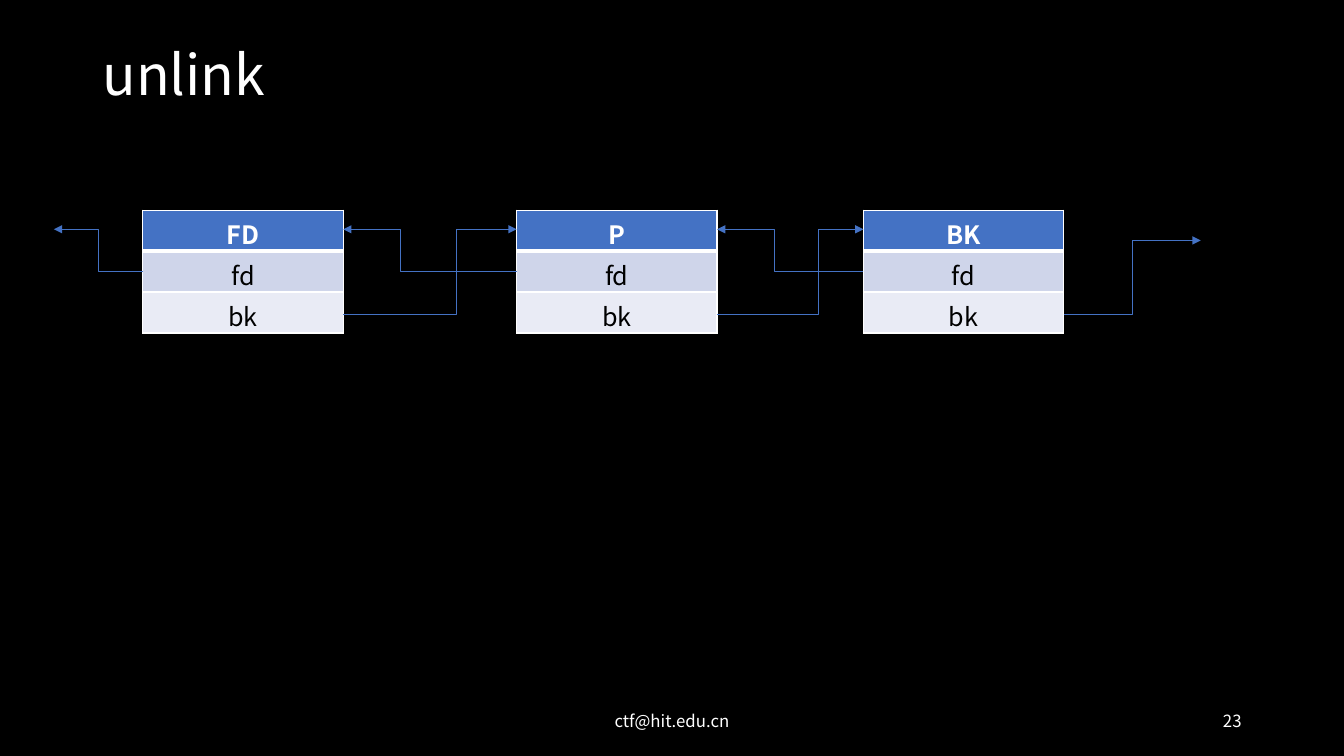
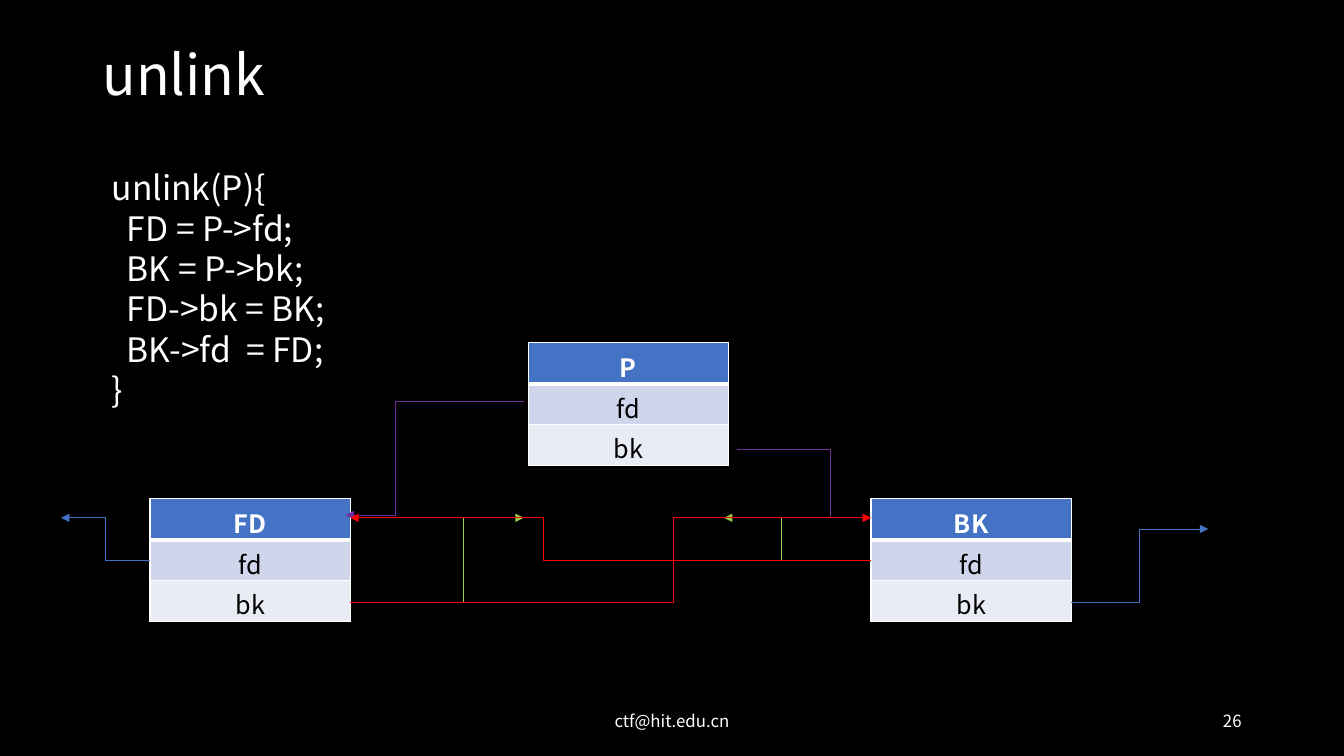
import pptx
import pptx.dml.color
import pptx.enum.shapes
import pptx.enum.text
import pptx.oxml
import pptx.oxml.ns
import pptx.util
from collections import namedtuple

Cm = pptx.util.Cm
Pt = pptx.util.Pt
ALIGN = pptx.enum.text.PP_ALIGN
MIDDLE = pptx.enum.text.MSO_ANCHOR.MIDDLE

FONT = "Noto Sans CJK SC"
COLOURS = {
    "background": "000000", "text": "FFFFFF", "cell text": "000000",
    "header": "4472C4", "fd row": "CFD5EA", "bk row": "E9EBF5",
    "border": "FFFFFF", "linked": "4472C4", "own": "7030A0",
    "old": "92D050", "new": "FF0000",
}
CHUNK_WIDTH = 5.05
ROW_HEIGHT = 1.03
# Height of each row's pointer ends below the chunk's top
PORTS = {"head": 0.48, "fd": 1.55, "bk": 2.62}
CODE = [
    "unlink(P){",
    "  FD = P->fd;",
    "  BK = P->bk;",
    "  FD->bk = BK;",
    "  BK->fd  = FD;",
    "}",
]

Chunk = namedtuple("Chunk", "name left top")


def rgb(name):
    return pptx.dml.color.RGBColor.from_string(COLOURS[name])


def add_run(paragraph, text, size, colour="text", bold=False):
    run = paragraph.add_run()
    run.text = text
    run.font.name = FONT
    run.font.size = Pt(size)
    run.font.bold = bold
    run.font.color.rgb = rgb(colour)
    # The same face for East Asian characters
    east_asian = pptx.oxml.parse_xml(
        f'<a:ea {pptx.oxml.ns.nsdecls("a")} typeface="{FONT}"/>')
    run.font._element.append(east_asian)


def add_text(slide, left, top, width, height, lines, size,
             align=ALIGN.LEFT, anchor=pptx.enum.text.MSO_ANCHOR.TOP, spacing=None):
    box = slide.shapes.add_textbox(Cm(left), Cm(top), Cm(width), Cm(height))
    frame = box.text_frame
    frame.word_wrap = True
    frame.vertical_anchor = anchor
    for index, line in enumerate(lines):
        paragraph = frame.add_paragraph() if index else frame.paragraphs[0]
        paragraph.alignment = align
        paragraph.line_spacing = spacing
        add_run(paragraph, line, size)


def add_slide(deck, title, number):
    """Title, footer and slide number shared by all slides."""
    slide = deck.slides.add_slide(deck.slide_layouts[5])
    heading = slide.shapes.title
    heading.left, heading.top = Cm(2.33), Cm(1.01)
    heading.width, heading.height = Cm(29.21), Cm(1.9)
    heading.text_frame.vertical_anchor = MIDDLE
    paragraph = heading.text_frame.paragraphs[0]
    paragraph.alignment = ALIGN.LEFT
    paragraph.line_spacing = 0.9
    add_run(paragraph, title, 39.6)
    add_text(slide, 11.22, 17.65, 11.43, 1.01, ["ctf@hit.edu.cn"], 12,
             ALIGN.CENTER, MIDDLE)
    add_text(slide, 23.92, 17.65, 7.62, 1.01, [str(number)], 12,
             ALIGN.RIGHT, MIDDLE)
    return slide


def set_borders(cell, bottom_width):
    widths = {"lnL": 1, "lnR": 1, "lnT": 1, "lnB": bottom_width}
    for index, (side, width) in enumerate(widths.items()):
        border = pptx.oxml.parse_xml(
            f'<a:{side} {pptx.oxml.ns.nsdecls("a")} w="{Pt(width)}"><a:solidFill>'
            f'<a:srgbClr val="{COLOURS["border"]}"/></a:solidFill></a:{side}>')
        cell._tc.get_or_add_tcPr().insert(index, border)


def add_chunk(slide, chunk):
    """A heap chunk: its name above its two pointers."""
    table = slide.shapes.add_table(
        3, 1, Cm(chunk.left), Cm(chunk.top), Cm(CHUNK_WIDTH), Cm(3 * ROW_HEIGHT)).table
    table.horz_banding = False
    rows = [(chunk.name, "header", "text"), ("fd", "fd row", "cell text"),
            ("bk", "bk row", "cell text")]
    for index, (label, fill, colour) in enumerate(rows):
        is_header = index == 0
        table.rows[index].height = Cm(ROW_HEIGHT)
        cell = table.cell(index, 0)
        cell.fill.solid()
        cell.fill.fore_color.rgb = rgb(fill)
        set_borders(cell, 3 if is_header else 1)
        paragraph = cell.text_frame.paragraphs[0]
        paragraph.alignment = ALIGN.CENTER
        add_run(paragraph, label, 18, colour, is_header)


def left_port(chunk, row):
    return chunk.left, chunk.top + PORTS[row]


def right_port(chunk, row):
    return chunk.left + CHUNK_WIDTH, chunk.top + PORTS[row]


def add_pointer(slide, start, end, bend=0.5, colour="linked"):
    """An elbow arrow that turns at the given share of its width."""
    pointer = slide.shapes.add_connector(
        pptx.enum.shapes.MSO_CONNECTOR.ELBOW, *map(Cm, start + end))
    pointer.line.color.rgb = rgb(colour)
    pointer.line.width = Pt(0.5)
    namespace = pptx.oxml.ns.nsdecls("a")
    pointer.line._get_or_add_ln().append(
        pptx.oxml.parse_xml(f'<a:tailEnd {namespace} type="triangle"/>'))
    properties = pointer._element.spPr
    properties.append(pptx.oxml.parse_xml(f"<a:effectLst {namespace}/>"))
    geometry = properties.find(pptx.oxml.ns.qn("a:prstGeom"))
    for guides in list(geometry):
        geometry.remove(guides)
    geometry.append(pptx.oxml.parse_xml(
        f'<a:avLst {namespace}><a:gd name="adj1" '
        f'fmla="val {round(bend * 100000)}"/></a:avLst>'))


def add_outer_pointers(slide, first, last):
    """The list goes on beyond both outer chunks."""
    add_pointer(slide, left_port(first, "fd"),
                (first.left - 2.24, first.top + PORTS["head"]))
    x, y = right_port(last, "bk")
    add_pointer(slide, (x, y), (x + 3.45, y - 1.86))


def build_linked(deck):
    slide = add_slide(deck, "unlink", 23)
    chunks = [Chunk(name, left, 5.3)
              for name, left in (("FD", 3.6), ("P", 13.02), ("BK", 21.76))]
    for chunk in chunks:
        add_chunk(slide, chunk)
    # Neighbours point at each other
    bends = [(0.67, 0.65), (0.61, 0.69)]
    for before, after, (back, forward) in zip(chunks, chunks[1:], bends):
        add_pointer(slide, left_port(after, "fd"), right_port(before, "head"), back)
        add_pointer(slide, right_port(before, "bk"), left_port(after, "head"), forward)
    add_outer_pointers(slide, chunks[0], chunks[-1])


def build_unlinked(deck):
    slide = add_slide(deck, "unlink", 26)
    fd = Chunk("FD", 3.78, 12.57)
    bk = Chunk("BK", 21.95, 12.57)
    removed = Chunk("P", 13.31, 8.64)
    vacated = Chunk("P", 13.2, 12.57)
    for chunk in (removed, bk, fd):
        add_chunk(slide, chunk)
    # Pointers kept by the removed chunk
    add_pointer(slide, (13.2, 10.11), (8.71, 12.98), 0.72, "own")
    add_pointer(slide, (18.57, 11.33), left_port(bk, "head"), 0.7, "own")
    # Former pointers to the vacated place
    add_pointer(slide, right_port(fd, "bk"), left_port(vacated, "head"), 0.65, "old")
    add_pointer(slide, left_port(bk, "fd"), right_port(vacated, "head"), 0.61, "old")
    add_outer_pointers(slide, fd, bk)
    add_text(slide, 2.57, 4.09, 12.57, 6.4, CODE, 24, spacing=Pt(28.8))
    # New pointers between the remaining chunks
    add_pointer(slide, right_port(fd, "bk"), left_port(bk, "head"), 0.62, "new")
    add_pointer(slide, left_port(bk, "fd"), right_port(fd, "head"), 0.63, "new")


def main():
    deck = pptx.Presentation()
    deck.slide_width, deck.slide_height = Cm(33.87), Cm(19.05)
    background = deck.slide_master.background.fill
    background.solid()
    background.fore_color.rgb = rgb("background")
    build_linked(deck)
    build_unlinked(deck)
    deck.save("out.pptx")


if __name__ == "__main__":
    main()
